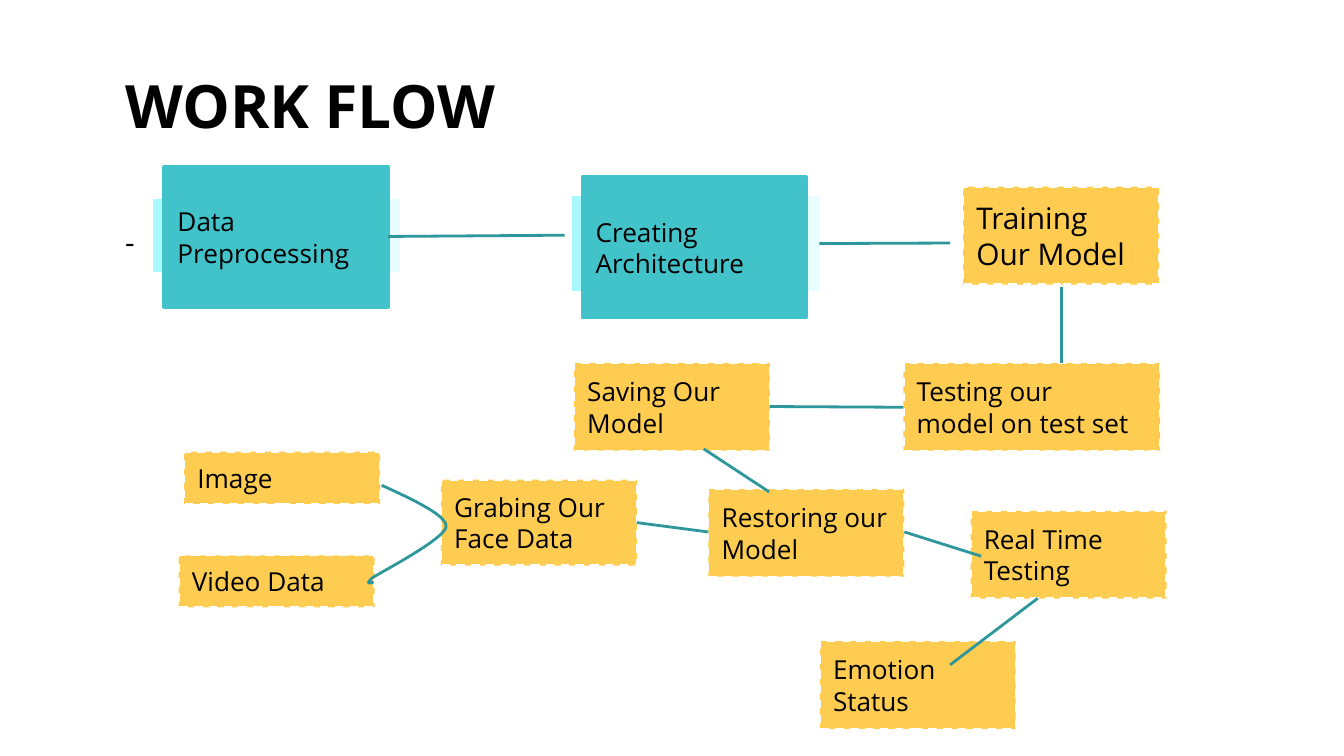
from collections import namedtuple
from copy import deepcopy

from pptx import Presentation
from pptx.dml.color import RGBColor
from pptx.enum.dml import MSO_LINE
from pptx.enum.shapes import MSO_CONNECTOR, MSO_SHAPE
from pptx.enum.text import MSO_ANCHOR, MSO_AUTO_SIZE, PP_ALIGN
from pptx.oxml.ns import qn
from pptx.oxml.xmlchemy import OxmlElement
from pptx.util import Pt

BLACK = RGBColor(0x00, 0x00, 0x00)
WHITE = RGBColor(0xFF, 0xFF, 0xFF)
TEAL = RGBColor(0x42, 0xC3, 0xC9)
DARK_TEAL = RGBColor(0x2D, 0x97, 0x9C)
AMBER = RGBColor(0xFF, 0xCC, 0x52)
HALO_STOPS = [
    (0, RGBColor(0xA7, 0xF9, 0xFF)),
    (0.35, RGBColor(0xC1, 0xFB, 0xFF)),
    (1, RGBColor(0xE7, 0xFD, 0xFF)),
]

Box = namedtuple("Box", "left top width height")

TITLE_FRAME = {"word_wrap": True, "vertical_anchor": MSO_ANCHOR.BOTTOM}
BODY_FRAME = {"word_wrap": True, "margin_top": Pt(7.2)}
STEP_FRAME = {
    "word_wrap": True,
    "vertical_anchor": MSO_ANCHOR.MIDDLE,
    "auto_size": MSO_AUTO_SIZE.SHAPE_TO_FIT_TEXT,
}
STAGE_LINE = {"width": Pt(2)}
STEP_LINE = {"width": Pt(1.13), "dash_style": MSO_LINE.DASH}
LINK_LINE = {"width": Pt(1.5)}

# Places below are relative to the flow's box.
STAGES = [
    ("Data Preprocessing", Box(8, 1.5, 120, 75), Box(2, 18.5, 132.5, 39.5)),
    ("Creating Architecture", Box(232, 7, 120, 75), Box(226.5, 17, 133, 51)),
]
STEPS = [
    ("Training Our Model", Box(436, 12, 105, 52.5), 16),
    ("Testing our\nmodel on test set", Box(404, 106.5, 137.5, 47), 14),
    ("Saving Our Model", Box(227.5, 106.5, 105, 47), 14),
    ("Image", Box(18.7, 154, 105, 28), 14),
    ("Video Data", Box(15.7, 209.5, 105, 28), 14),
    ("Grabing Our Face Data", Box(156.2, 169, 105, 46), 14),
    ("Restoring our Model", Box(299.5, 174, 105, 47), 14),
    ("Real Time Testing", Box(440, 185.7, 105, 47), 14),
    ("Emotion Status", Box(359.2, 255.5, 105, 47), 14),
]
LINKS = [
    ((128, 38.7), (222.5, 38)),
    ((359, 42.5), (429, 42.2)),
    ((488.8, 65.5), (488.8, 106.5)),
    ((404, 130.2), (332.5, 129.8)),
    ((261.2, 192), (299.5, 197)),
    ((297, 152.5), (332, 175.5)),
    ((404.5, 197), (445.7, 210)),
    ((476, 232.5), (429, 268.2)),
]
INPUT_START = (124.5, 172)
INPUT_CURVES = [
    ((141.8, 179.8), (159.8, 188.5), (159, 194.2)),
    ((158.3, 200.7), (125.2, 218), (119.4, 221.6)),
    ((115.8, 225.2), (118, 224.5), (120.2, 223.8)),
]


def apply_format(target, values):
    for name, value in values.items():
        setattr(target, name, value)


def within(box, part):
    """Return the part's place on the slide as four lengths."""
    return (Pt(box.left + part.left), Pt(box.top + part.top),
            Pt(part.width), Pt(part.height))


def write(frame, text, size, frame_format, bold=False, space_before=0):
    apply_format(frame, frame_format)
    frame.text = text
    for paragraph in frame.paragraphs:
        apply_format(paragraph, {"alignment": PP_ALIGN.LEFT,
                                 "space_before": Pt(space_before)})
        apply_format(paragraph.font,
                     {"name": "Open Sans", "size": Pt(size), "bold": bold})
        paragraph.font.color.rgb = BLACK


def draw_line(line, color, line_format):
    line.color.rgb = color
    apply_format(line, line_format)


def add_heading(slide, box):
    title = slide.shapes.add_textbox(*map(Pt, box))
    write(title.text_frame, "WORK FLOW", 32, TITLE_FRAME, bold=True)


def add_body(slide, box):
    body = slide.shapes.add_textbox(*map(Pt, box))
    write(body.text_frame, "-", 16, BODY_FRAME, space_before=12)


def add_rectangle(slide, box, part):
    rectangle = slide.shapes.add_shape(MSO_SHAPE.RECTANGLE, *within(box, part))
    rectangle.shadow.inherit = False
    return rectangle


def add_halo(slide, box, part):
    halo = add_rectangle(slide, box, part)
    halo.line.fill.background()
    halo.fill.gradient()
    halo.fill.gradient_angle = 0
    first_stop = halo._element.spPr.find(".//" + qn("a:gs"))
    first_stop.addnext(deepcopy(first_stop))
    for stop, (position, color) in zip(halo.fill.gradient_stops, HALO_STOPS):
        stop.position = position
        stop.color.rgb = color


def add_step(slide, box, part, text, size, fill, edge, line_format):
    step = add_rectangle(slide, box, part)
    step.fill.solid()
    step.fill.fore_color.rgb = fill
    draw_line(step.line, edge, line_format)
    write(step.text_frame, text, size, STEP_FRAME)


def add_link(slide, box, start, end):
    ends = [Pt(origin + offset) for point in (start, end)
            for origin, offset in zip((box.left, box.top), point)]
    link = slide.shapes.add_connector(MSO_CONNECTOR.STRAIGHT, *ends)
    draw_line(link.line, DARK_TEAL, LINK_LINE)
    link._element.spPr.append(OxmlElement("a:effectLst"))


def bezier(points, t):
    """Return the point at t on the cubic curve with these four points."""
    weights = ((1 - t) ** 3, 3 * t * (1 - t) ** 2, 3 * t ** 2 * (1 - t), t ** 3)
    return tuple(sum(w * p[axis] for w, p in zip(weights, points))
                 for axis in (0, 1))


def add_input_curve(slide, box, segments=16):
    """Join both data inputs to the face data with one smooth line."""
    outline = [INPUT_START]
    for curve in INPUT_CURVES:
        points = (outline[-1], *curve)
        outline += [bezier(points, i / segments)
                    for i in range(1, segments + 1)]
    start, *rest = [(Pt(box.left + x), Pt(box.top + y)) for x, y in outline]
    builder = slide.shapes.build_freeform(*start)
    builder.add_line_segments(rest, close=False)
    curve = builder.convert_to_shape()
    curve.shadow.inherit = False
    curve.fill.background()
    draw_line(curve.line, DARK_TEAL, LINK_LINE)


def add_flow(slide, box):
    for text, part, halo in STAGES:
        add_halo(slide, box, halo)
        add_step(slide, box, part, text, 14, TEAL, TEAL, STAGE_LINE)
    for text, part, size in STEPS:
        add_step(slide, box, part, text, size, AMBER, WHITE, STEP_LINE)
    for start, end in LINKS:
        add_link(slide, box, start, end)
    add_input_curve(slide, box)


def main():
    deck = Presentation()
    apply_format(deck, {"slide_width": Pt(720), "slide_height": Pt(405)})
    slide = deck.slides.add_slide(deck.slide_layouts[6])
    add_heading(slide, Box(60, 11.5, 600, 67.5))
    add_body(slide, Box(60, 112.5, 600, 240))
    add_flow(slide, Box(80, 88, 545, 303))
    deck.save("out.pptx")


if __name__ == "__main__":
    main()
